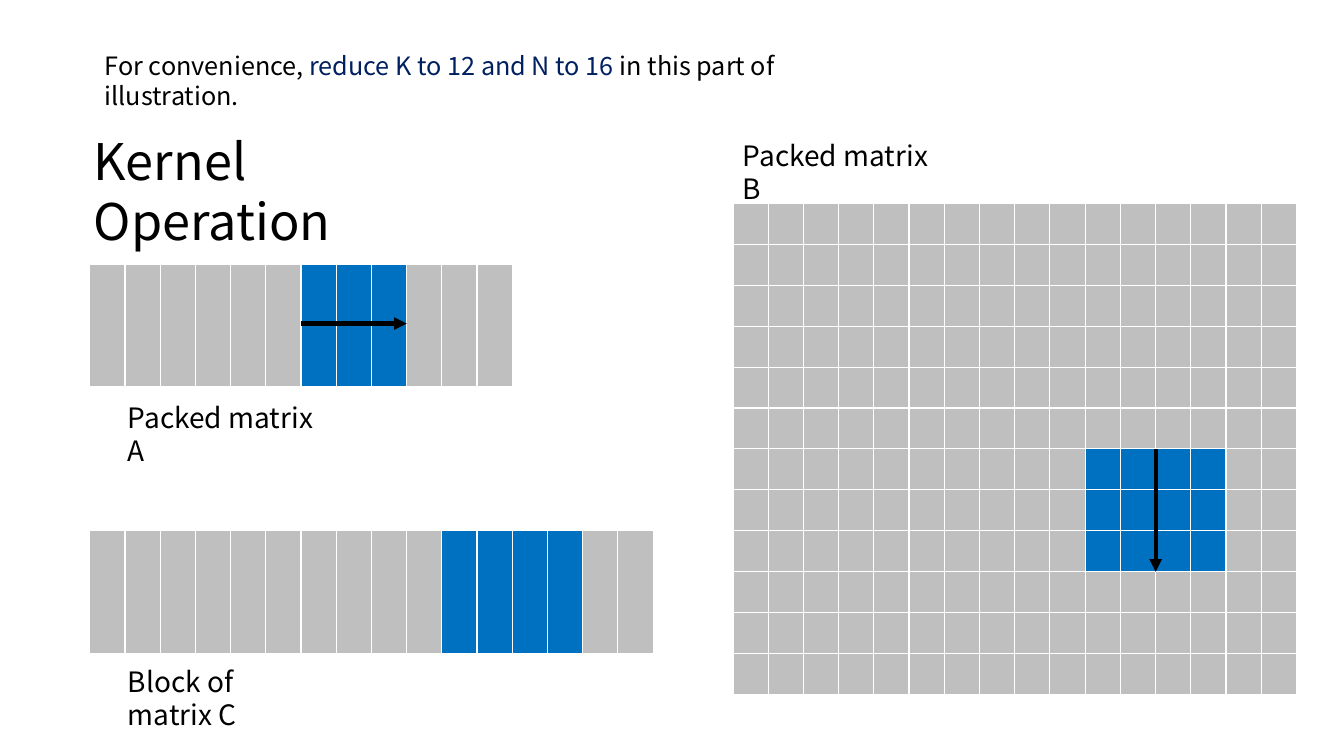
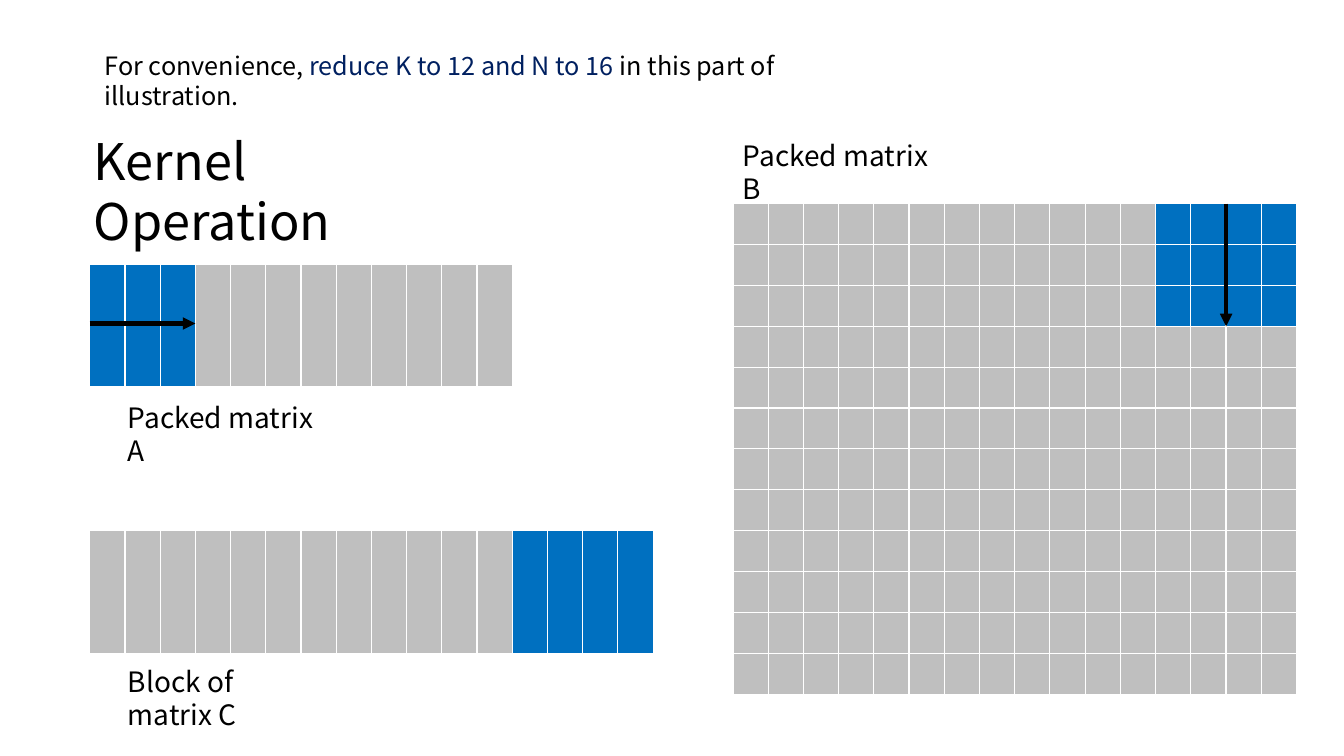
from pptx import Presentation
from pptx.dml.color import RGBColor
from pptx.enum.shapes import MSO_CONNECTOR
from pptx.enum.text import MSO_ANCHOR, MSO_AUTO_SIZE, PP_ALIGN
from pptx.oxml import parse_xml
from pptx.oxml.ns import nsdecls
from pptx.util import Inches, Pt

COLORS = {"text": "000000", "accent": "002060", "cell": "BFBFBF",
          "active": "0070C0", "border": "FFFFFF"}
FONT = "Noto Sans CJK SC"
LINE_HEIGHT = 1.2
COLUMN = 5.59 / 16
ROW = 4.87 / 12
DEPTH = 3   # steps along K handled together
WIDTH = 4   # columns along N handled together


def color(name):
    return RGBColor.from_string(COLORS[name])


def write_text(box, spans, size):
    """Fill a text box or placeholder with one paragraph of (text, color) runs."""
    frame = box.text_frame
    frame.word_wrap = True
    frame.auto_size = MSO_AUTO_SIZE.NONE
    frame.vertical_anchor = MSO_ANCHOR.TOP
    para = frame.paragraphs[0]
    para.alignment = PP_ALIGN.LEFT
    para.line_spacing = Pt(size * LINE_HEIGHT)
    for text, tone in spans:
        span = para.add_run()
        span.text = text
        span.font.name = FONT
        span.font.size = Pt(size)
        span.font.color.rgb = color(tone)


def add_text(page, left, top, width, height, spans, size):
    box = page.shapes.add_textbox(Inches(left), Inches(top), Inches(width), Inches(height))
    write_text(box, spans, size)


def add_label(page, left, top, text):
    add_text(page, left, top, 2.14, 0.78, [(text, "text")], 20)


def set_borders(cell, bottom):
    """Draw white cell edges; the bottom one has its own width."""
    properties = cell._tc.get_or_add_tcPr()
    edges = [("lnL", 1), ("lnR", 1), ("lnT", 1), ("lnB", bottom)]
    for index, (tag, points) in enumerate(edges):
        properties.insert(index, parse_xml(
            f'<a:{tag} {nsdecls("a")} w="{Pt(points)}"><a:solidFill>'
            f'<a:srgbClr val="{COLORS["border"]}"/></a:solidFill></a:{tag}>'))


def add_matrix(page, left, top, rows, columns, row_height, active_rows, active_columns,
               bottom=1):
    """Draw a grid of cells, with the active block in blue."""
    frame = page.shapes.add_table(rows, columns, Inches(left), Inches(top),
                                  Inches(columns * COLUMN), Inches(rows * row_height))
    table = frame.table
    table.first_row = table.horz_banding = False
    for column in table.columns:
        column.width = Inches(COLUMN)
    for r, row in enumerate(table.rows):
        row.height = Inches(row_height)
        for c, cell in enumerate(row.cells):
            cell.margin_top = cell.margin_bottom = 0
            cell.text_frame.paragraphs[0].font.size = Pt(12)
            active = r in active_rows and c in active_columns
            cell.fill.solid()
            cell.fill.fore_color.rgb = color("active" if active else "cell")
            set_borders(cell, bottom)


def add_arrow(page, x1, y1, x2, y2):
    arrow = page.shapes.add_connector(MSO_CONNECTOR.STRAIGHT, Inches(x1), Inches(y1),
                                      Inches(x2), Inches(y2))
    arrow.line.color.rgb = color("text")
    arrow.line.width = Pt(3)
    arrow.line._get_or_add_ln().append(
        parse_xml(f'<a:tailEnd {nsdecls("a")} type="triangle"/>'))
    arrow._element.spPr.append(parse_xml(f'<a:effectLst {nsdecls("a")}/>'))


def add_heading(page):
    title = page.shapes.title
    title.left, title.top = Inches(0.83), Inches(1.24)
    title.width, title.height = Inches(3.89), Inches(1.3)
    write_text(title, [("Kernel Operation", "text")], 36)
    add_text(page, 0.94, 0.45, 7.79, 0.7,
             [("For convenience, ", "text"),
              ("reduce K to 12 and N to 16 ", "accent"),
              ("in this part of illustration.", "text")], 18)


def add_matrix_a(page, left, top, k_range):
    add_matrix(page, left, top, 1, 12, 1.23, range(1), k_range, bottom=3)
    middle = top + 0.59
    add_arrow(page, left + k_range.start * COLUMN, middle,
              left + k_range.stop * COLUMN, middle)
    add_label(page, left + 0.28, top + 1.3, "Packed matrix A")


def add_matrix_b(page, left, top, k_range, n_range):
    add_label(page, left, top - 0.7, "Packed matrix B")
    add_matrix(page, left, top, 12, 16, ROW, k_range, n_range)
    middle = left + (n_range.start + n_range.stop) / 2 * COLUMN
    add_arrow(page, middle, top + k_range.start * ROW, middle, top + k_range.stop * ROW)


def add_matrix_c(page, left, top, n_range):
    add_matrix(page, left, top, 1, 16, 1.24, range(1), n_range, bottom=3)
    add_label(page, left + 0.28, top + 1.28, "Block of matrix C")


def add_step(deck, k_start, n_start):
    """One slide: the block of the kernel starting at (k_start, n_start)."""
    page = deck.slides.add_slide(deck.slide_layouts[5])
    k_range = range(k_start, k_start + DEPTH)
    n_range = range(n_start, n_start + WIDTH)
    add_heading(page)
    add_matrix_a(page, 0.89, 2.62, k_range)
    add_matrix_c(page, 0.89, 5.26, n_range)
    add_matrix_b(page, 7.27, 2.02, k_range, n_range)


def main():
    deck = Presentation()
    deck.slide_width, deck.slide_height = Inches(13.33), Inches(7.5)
    for k_start, n_start in [(6, 10), (0, 12)]:
        add_step(deck, k_start, n_start)
    deck.save("out.pptx")


if __name__ == "__main__":
    main()
